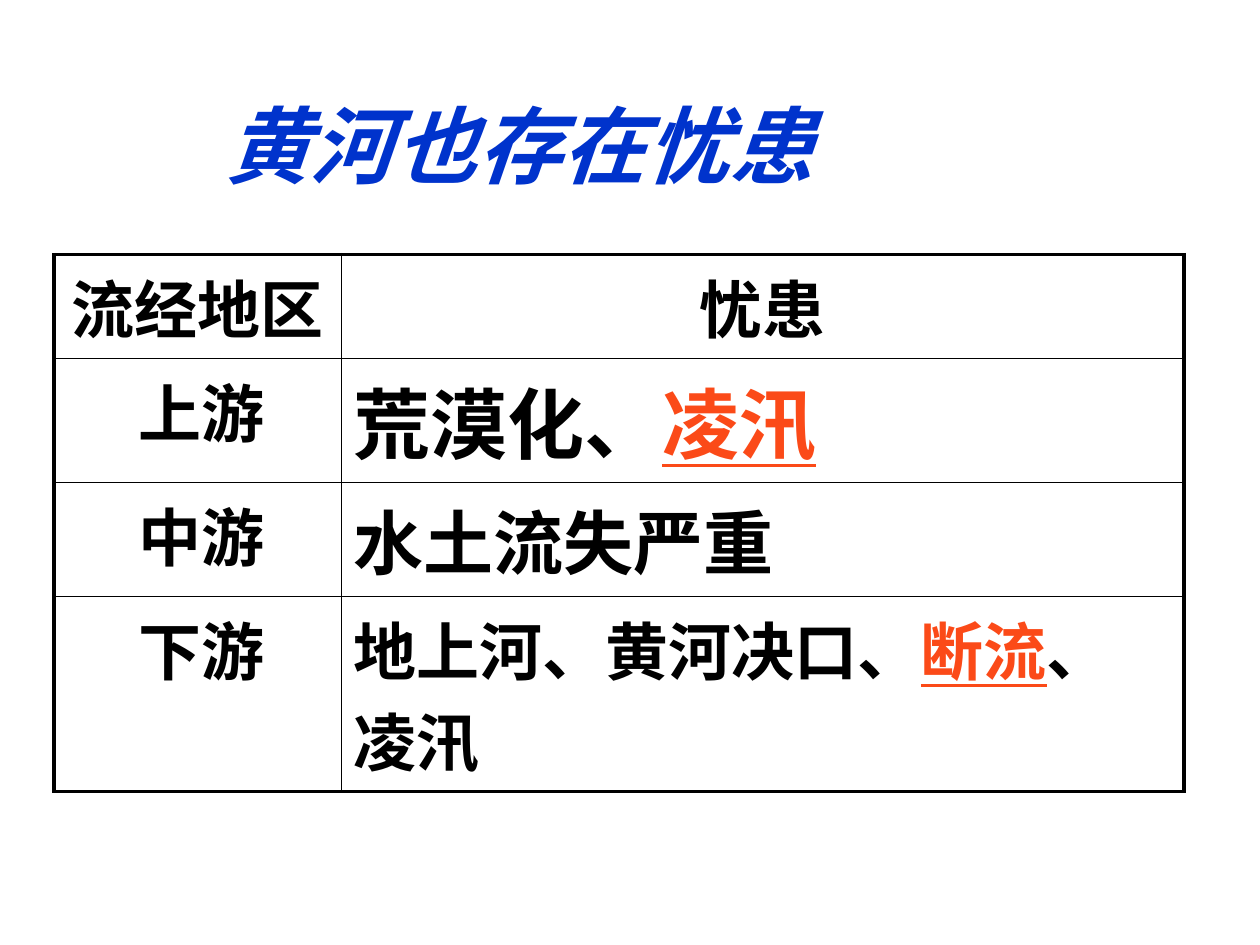
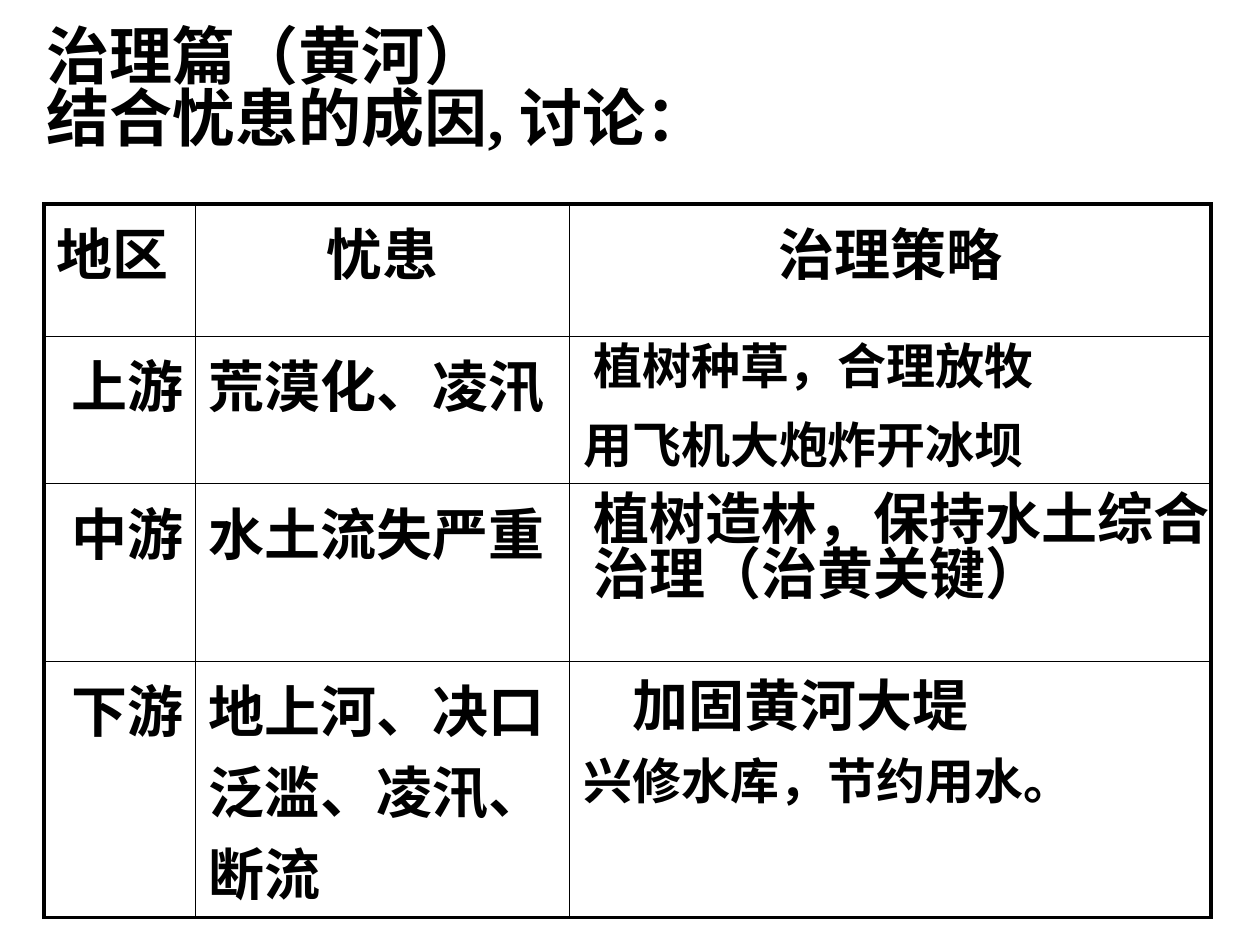
"""Build two slides on the hazards of the Yellow River and their remedies."""
import pptx
import pptx.dml.color
import pptx.enum.lang
import pptx.enum.text
import pptx.oxml
import pptx.oxml.ns
import pptx.util

Cm, Pt = pptx.util.Cm, pptx.util.Pt
RGBColor = pptx.dml.color.RGBColor
PP_ALIGN = pptx.enum.text.PP_ALIGN

BLACK = RGBColor(0x00, 0x00, 0x00)
BLUE = RGBColor(0x00, 0x33, 0xCC)
ORANGE = RGBColor(0xFB, 0x4A, 0x18)
CJK_FONT = "Noto Sans CJK SC"
BASE = {"name": "Arial", "bold": True, "italic": False, "underline": False,
        "language_id": pptx.enum.lang.MSO_LANGUAGE_ID.SIMPLIFIED_CHINESE}
TITLE = {"name": "Times New Roman"}
KEYWORD = {"underline": True}
LEFT, CENTER = PP_ALIGN.LEFT, PP_ALIGN.CENTER


def add_run(p, text, size, color=BLACK, fmt=None):
    r = p.add_run()
    r.text = text
    for name, value in {**BASE, "size": Pt(size), **(fmt or {})}.items():
        setattr(r.font, name, value)
    r.font.color.rgb = color
    ea = pptx.oxml.parse_xml(
        f'<a:ea {pptx.oxml.ns.nsdecls("a")} typeface="{CJK_FONT}"/>')
    r._r.get_or_add_rPr().append(ea)


def fill_box(sp, box, lines, size, color=BLACK, fmt=None):
    sp.left, sp.top, sp.width, sp.height = (Cm(v) for v in box)
    tf = sp.text_frame
    frame = {"word_wrap": True, "auto_size": pptx.enum.text.MSO_AUTO_SIZE.NONE,
             "vertical_anchor": pptx.enum.text.MSO_ANCHOR.TOP,
             "margin_top": Pt(3.6 + 0.1 * size), "margin_bottom": 0}
    for name, value in frame.items():
        setattr(tf, name, value)
    for i, text in enumerate(lines):
        p = tf.add_paragraph() if i else tf.paragraphs[0]
        p.alignment = LEFT
        p.line_spacing = 0.83
        add_run(p, text, size, color, fmt)


hazard_rows = [
    [(CENTER, 36, [("流经地区", False)]), (CENTER, 36, [("忧患", False)])],
    [(CENTER, 36, [("上游", False)]),
     (LEFT, 44, [("荒漠化、", False), ("凌汛", True)])],
    [(CENTER, 36, [("中游", False)]), (LEFT, 40, [("水土流失严重", False)])],
    [(CENTER, 36, [("下游", False)]),
     (LEFT, 36, [("地上河、黄河决口、", False), ("断流", True), ("、凌汛", False)])],
]
remedy_rows = [
    [(LEFT, 32, [("地区", False)]), (CENTER, 32, [("忧患", False)]),
     (CENTER, 32, [("治理策略", False)])],
]
for reach, hazard in (("上游", "荒漠化、凌汛"), ("中游", "水土流失严重"),
                      ("下游", "地上河、决口泛滥、凌汛、断流")):
    remedy_rows.append([(LEFT, 32, [(reach, False)]),
                        (LEFT, 32, [(hazard, False)]), (LEFT, 32, [])])

slides = [
    {"title": ["黄河也存在忧患"], "title_box": (4.29, 1.93, 15.01, 3),
     "size": 48, "color": BLUE, "italic": True,
     "origin": (1.09, 5.13), "cols": (5.79, 16.99),
     "heights": (2.01, 2.11, 2.01, 3.3), "rows": hazard_rows,
     "reach_indent": 0.25, "notes": []},
    {"title": ["治理篇（黄河）", "结合忧患的成因, 讨论："],
     "title_box": (0.69, 0.33, 24.71, 3.3),
     "size": 36, "color": BLACK, "italic": False,
     "origin": (0.89, 4.11), "cols": (3.05, 7.54, 12.93),
     "heights": (2.67, 2.97, 3.58, 4.32), "rows": remedy_rows,
     "reach_indent": 0.56,
     "notes": [("植树种草，合理放牧", 28, (11.71, 6.73, 11.2, 1.45)),
               ("植树造林，保持水土综合治理（治黄关键）", 32, (11.71, 9.73, 13.69, 2.97)),
               ("兴修水库，节约用水。", 28, (11.51, 15.11, 12.8, 1.45)),
               ("用飞机大炮炸开冰坝", 28, (11.51, 8.33, 10.21, 1.45)),
               ("加固黄河大堤", 32, (12.5, 13.51, 7.4, 1.6))]},
]

prs = pptx.Presentation()
prs.slide_width, prs.slide_height = Cm(25.4), Cm(19.05)

for spec_values in slides:
    s = prs.slides.add_slide(prs.slide_layouts[5])
    fill_box(s.shapes.title, spec_values["title_box"], spec_values["title"],
             spec_values["size"], spec_values["color"],
             {**TITLE, "italic": spec_values["italic"]})

    rows, cols, heights = (spec_values[k] for k in ("rows", "cols", "heights"))
    left, top = spec_values["origin"]
    table = s.shapes.add_table(len(rows), len(cols), Cm(left), Cm(top),
                               Cm(sum(cols)), Cm(sum(heights))).table
    table.first_row = table.horz_banding = False
    for column, width in zip(table.columns, cols):
        column.width = Cm(width)
    for row, height in zip(table.rows, heights):
        row.height = Cm(height)

    for i, row in enumerate(rows):
        for j, (align, size, runs) in enumerate(row):
            cell = table.cell(i, j)
            cell.fill.background()
            if i and not j:
                cell.margin_left = Cm(spec_values["reach_indent"])
                cell.margin_right = Cm(0.1)
            p = cell.text_frame.paragraphs[0]
            p.alignment = align
            for text, marked in runs:
                add_run(p, text, size, ORANGE if marked else BLACK,
                        KEYWORD if marked else None)
            outer = {"L": j == 0, "R": j == len(cols) - 1,
                     "T": i == 0, "B": i == len(rows) - 1}
            for k, (side, is_outer) in enumerate(outer.items()):
                width = Pt(2.25 if is_outer else 1)
                line = pptx.oxml.parse_xml(
                    f'<a:ln{side} {pptx.oxml.ns.nsdecls("a")} w="{width}">'
                    f'<a:solidFill><a:srgbClr val="{BLACK}"/></a:solidFill>'
                    f'</a:ln{side}>')
                cell._tc.get_or_add_tcPr().insert(k, line)

    for text, size, box in spec_values["notes"]:
        sp = s.shapes.add_textbox(0, 0, 0, 0)
        fill_box(sp, box, [text], size)

prs.save("out.pptx")
